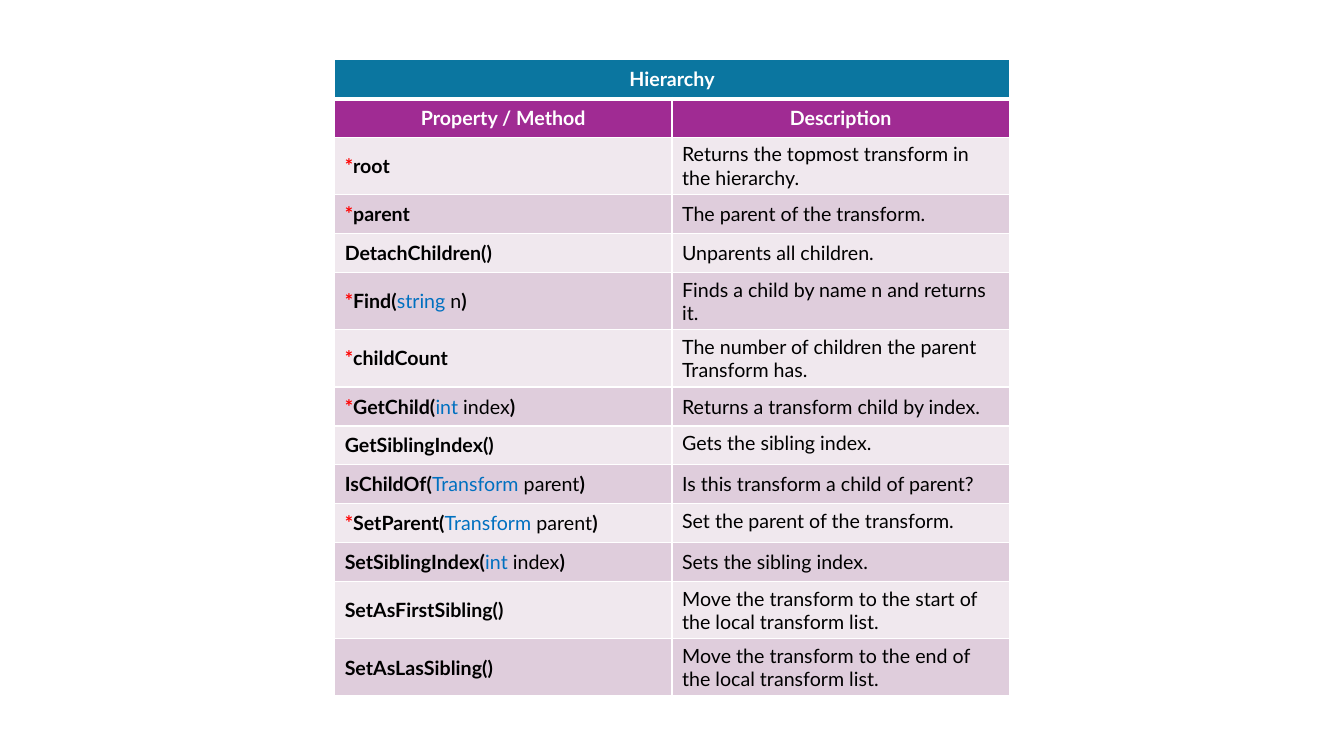
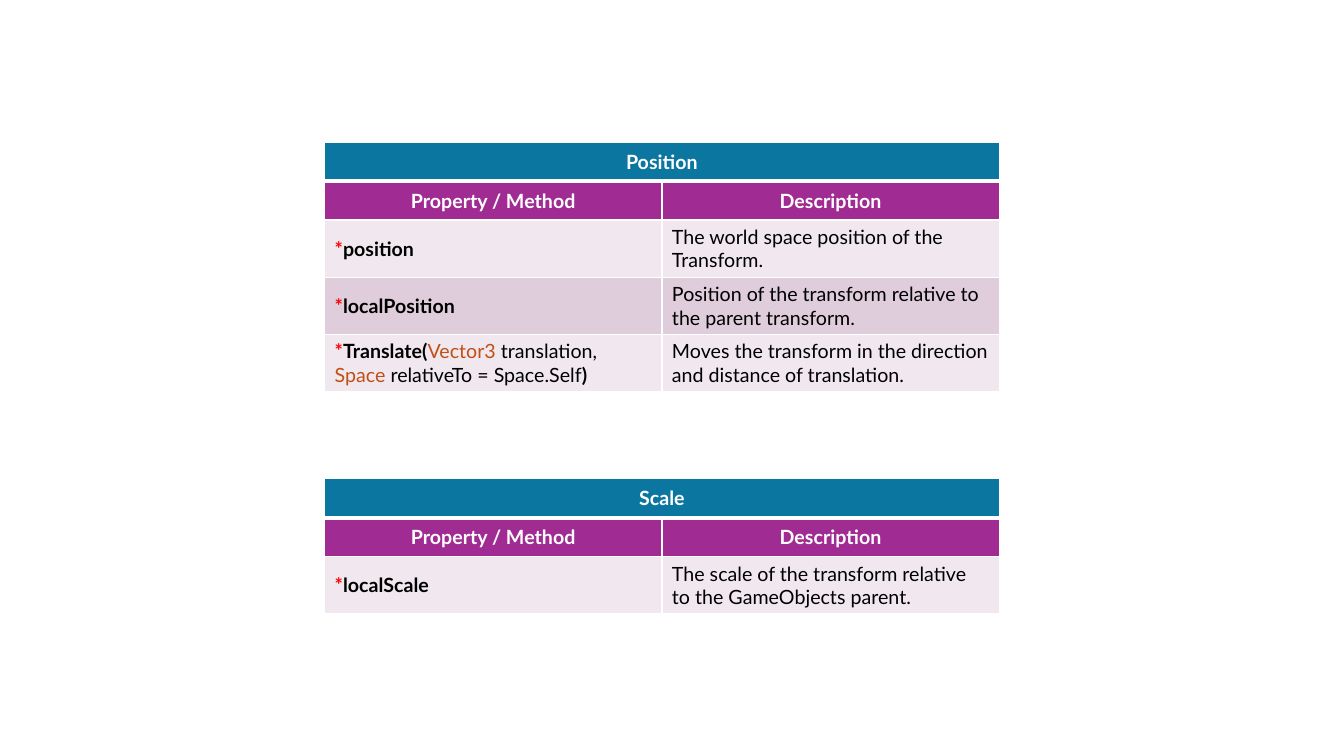
"""Build two reference slides listing transform properties and methods in tables."""
from lxml import etree
from pptx import Presentation
from pptx.dml.color import RGBColor
from pptx.enum.text import MSO_ANCHOR, PP_ALIGN
from pptx.oxml.ns import qn
from pptx.util import Inches, Pt

CENTER, LEFT = PP_ALIGN.CENTER, PP_ALIGN.LEFT
MIDDLE, TOP = MSO_ANCHOR.MIDDLE, MSO_ANCHOR.TOP

WHITE = RGBColor(0xFF, 0xFF, 0xFF)
BLACK = RGBColor(0x00, 0x00, 0x00)
RED = RGBColor(0xFF, 0x00, 0x00)
BLUE = RGBColor(0x00, 0x70, 0xC0)
RUST = RGBColor(0xC0, 0x4F, 0x15)
TEAL = RGBColor(0x0B, 0x76, 0xA0)
PURPLE = RGBColor(0xA0, 0x2B, 0x93)
BANDS = (RGBColor(0xF0, 0xE8, 0xEE), RGBColor(0xDF, 0xCD, 0xDC))

HEADINGS = ("Property / Method", "Description")
STAR = ("*", RED, True)
CLOSE = (")", BLACK, True)


def name(text):
    """Return a bold black run."""
    return text, BLACK, True


def plain(text):
    """Return a regular black run."""
    return text, BLACK, False


def kind(text, color=BLUE):
    """Return a run that names a type."""
    return text, color, False


HIERARCHY = [
    ([STAR, name("root")], "Returns the topmost transform in the hierarchy.", MIDDLE),
    ([STAR, name("parent")], "The parent of the transform.", MIDDLE),
    ([name("DetachChildren()")], "Unparents all children.", MIDDLE),
    ([STAR, name("Find("), kind("string"), plain(" n"), CLOSE],
     "Finds a child by name n and returns it.", MIDDLE),
    ([STAR, name("childCount")], "The number of children the parent Transform has.", MIDDLE),
    ([STAR, name("GetChild("), kind("int"), plain(" index"), CLOSE],
     "Returns a transform child by index.", MIDDLE),
    ([name("GetSiblingIndex()")], "Gets the sibling index.", TOP),
    ([name("IsChildOf("), kind("Transform"), plain(" parent"), CLOSE],
     "Is this transform a child of parent?", MIDDLE),
    ([STAR, name("SetParent("), kind("Transform"), plain(" parent"), CLOSE],
     "Set the parent of the transform.", TOP),
    ([name("SetSiblingIndex("), kind("int"), plain(" index"), CLOSE],
     "Sets the sibling index.", MIDDLE),
    ([name("SetAsFirstSibling()")],
     "Move the transform to the start of the local transform list.", MIDDLE),
    ([name("SetAsLasSibling()")],
     "Move the transform to the end of the local transform list.", MIDDLE),
]
POSITION = [
    ([STAR, name("position")], "The world space position of the Transform.", MIDDLE),
    ([STAR, name("localPosition")],
     "Position of the transform relative to the parent transform.", MIDDLE),
    ([STAR, name("Translate("), kind("Vector3", RUST), plain(" translation, "),
      kind("Space ", RUST), plain("relativeTo = Space.Self"), CLOSE],
     "Moves the transform in the direction and distance of translation.", MIDDLE),
]
SCALE = [
    ([STAR, name("localScale")],
     "The scale of the transform relative to the GameObjects parent.", MIDDLE),
]


class Deck:
    """Hold the style and the current slide; lengths are percent of the slide."""

    FONT, SIZE = "Lato", Pt(14)
    COL, ROW = 25.1, 5.15
    THIN, THICK = Pt(1), Pt(3)

    def __init__(self):
        """Start an empty widescreen presentation."""
        self.prs = Presentation()
        self.prs.slide_width, self.prs.slide_height = Inches(13.33), Inches(7.5)
        self.s = None

    def x(self, share):
        """Convert percent of the width to a length."""
        return round(self.prs.slide_width * share / 100)

    def y(self, share):
        """Convert percent of the height to a length."""
        return round(self.prs.slide_height * share / 100)

    def slide(self):
        """Add a blank slide and make it current."""
        self.s = self.prs.slides.add_slide(self.prs.slide_layouts[6])

    def borders(self, cell, top, bottom):
        """Draw white borders around a cell."""
        props = cell._tc.get_or_add_tcPr()
        widths = {"L": self.THIN, "R": self.THIN, "T": top, "B": bottom}
        for i, (side, width) in enumerate(widths.items()):
            line = etree.Element(qn(f"a:ln{side}"), w=str(width))
            fill = etree.SubElement(line, qn("a:solidFill"))
            etree.SubElement(fill, qn("a:srgbClr"), val=str(WHITE))
            props.insert(i, line)

    def cell(self, cell, runs, fill, align=LEFT, anchor=MIDDLE):
        """Fill a cell and write its runs."""
        cell.fill.solid()
        cell.fill.fore_color.rgb = fill
        cell.vertical_anchor = anchor
        p = cell.text_frame.paragraphs[0]
        p.alignment = align
        for text, color, bold in runs:
            r = p.add_run()
            r.text = text
            r.font.name, r.font.size = self.FONT, self.SIZE
            r.font.bold, r.font.color.rgb = bold, color

    def table(self, left, top, title, entries):
        """Add a titled two-column table with banded entries."""
        count = len(entries) + 2
        table = self.s.shapes.add_table(
            count, 2, self.x(left), self.y(top),
            self.x(2 * self.COL), self.y(count * self.ROW)).table
        table.first_row = table.horz_banding = False
        for i in range(count):
            for j in range(2):
                self.borders(table.cell(i, j), self.THICK if i == 1 else self.THIN,
                             self.THICK if i == 0 else self.THIN)
        table.cell(0, 0).merge(table.cell(0, 1))
        self.cell(table.cell(0, 0), [(title, WHITE, True)], TEAL, CENTER)
        for j, heading in enumerate(HEADINGS):
            self.cell(table.cell(1, j), [(heading, WHITE, True)], PURPLE, CENTER)
        for i, (member, description, anchor) in enumerate(entries):
            band = BANDS[i % 2]
            self.cell(table.cell(i + 2, 0), member, band)
            self.cell(table.cell(i + 2, 1), [plain(description)], band, anchor=anchor)


def main():
    """Build and save the slides."""
    deck = Deck()
    deck.slide()
    deck.table(24.9, 7.9, "Hierarchy", HIERARCHY)
    deck.slide()
    deck.table(24.15, 18.8, "Position", POSITION)
    deck.table(24.15, 63.33, "Scale", SCALE)
    deck.prs.save("out.pptx")


if __name__ == "__main__":
    main()
